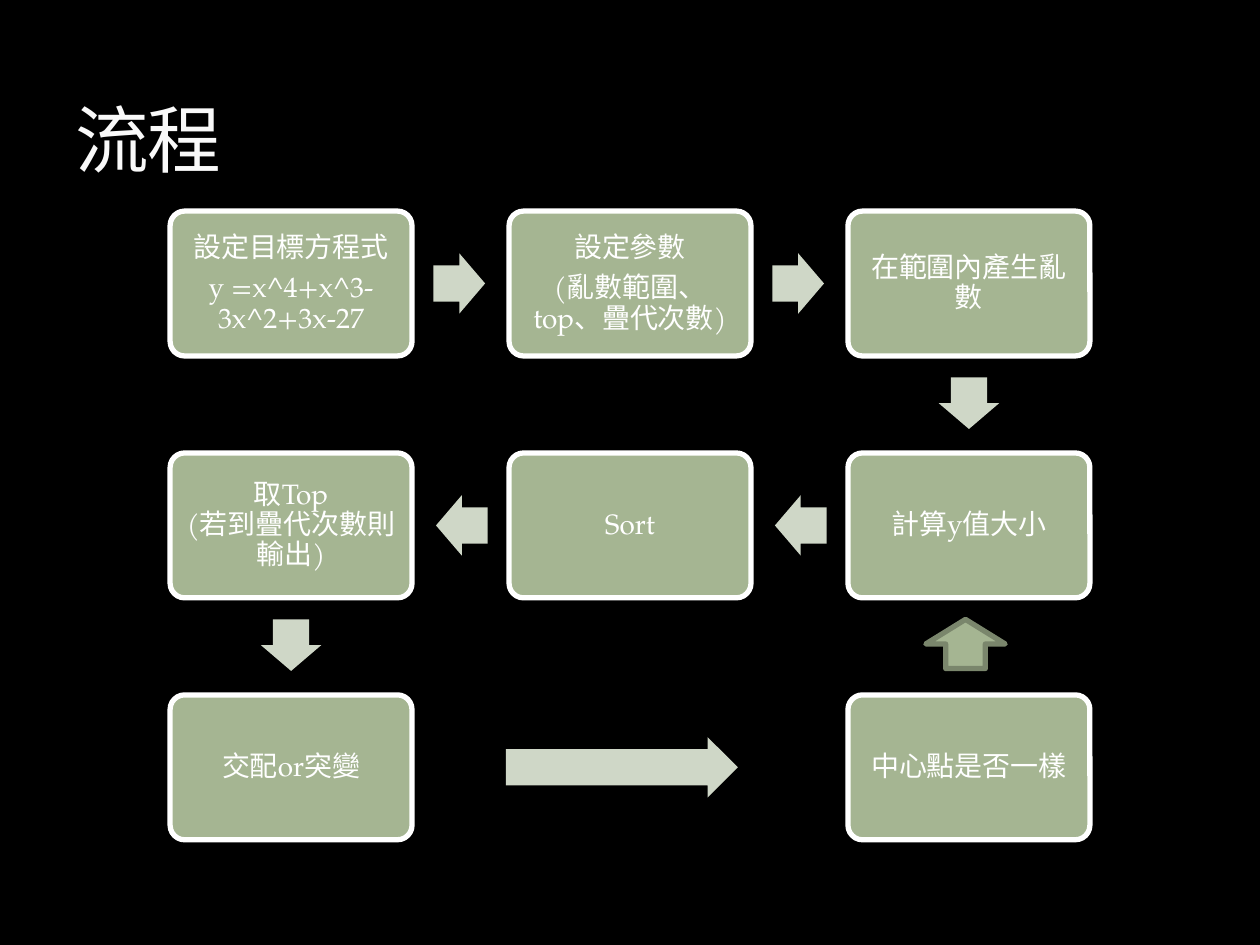
from math import cos, radians, sin

from pptx import Presentation
from pptx.dml.color import RGBColor
from pptx.enum.shapes import MSO_SHAPE
from pptx.enum.text import MSO_ANCHOR, MSO_AUTO_SIZE, PP_ALIGN
from pptx.oxml.ns import qn
from pptx.util import Inches, Pt

ROUNDED = MSO_SHAPE.ROUNDED_RECTANGLE
RIGHT_ARROW = MSO_SHAPE.RIGHT_ARROW
UP_ARROW = MSO_SHAPE.UP_ARROW
MIDDLE, BOTTOM = MSO_ANCHOR.MIDDLE, MSO_ANCHOR.BOTTOM
LEFT, CENTER = PP_ALIGN.LEFT, PP_ALIGN.CENTER
NO_FIT = MSO_AUTO_SIZE.NONE
TITLE_ONLY = 5


def rgb(value):
    return RGBColor.from_string(value)


def write(frame, lines, size=16, color="FFFFFF", font="TeX Gyre Pagella",
          align=CENTER, anchor=MIDDLE, spacing=0.9, after=0, inset=None):
    frame.word_wrap = True
    frame.auto_size = NO_FIT
    frame.vertical_anchor = anchor
    if inset is not None:
        frame.margin_left = frame.margin_right = Inches(inset)
        frame.margin_top = frame.margin_bottom = Inches(inset)
    for index, line in enumerate(lines):
        paragraph = frame.add_paragraph() if index else frame.paragraphs[0]
        paragraph.text = line
        paragraph.alignment = align
        paragraph.line_spacing = spacing
        paragraph.space_after = Pt(after)
        for run in paragraph.runs:
            run.font.name = font
            run.font.size = Pt(size)
            run.font.color.rgb = rgb(color)


class FlowSlide:
    green, pale, edge, white = "A5B592", "CFD7C7", "7A866C", "FFFFFF"
    first_x, first_y = 2.31, 2.25
    column_step, row_step = 2.69, 1.92
    step_width, step_height = 1.92, 1.15
    arrow_length, arrow_width, back_shift = 0.41, 0.48, 0.01

    def __init__(self, slide):
        self.slide = slide
        slide.background.fill.solid()
        slide.background.fill.fore_color.rgb = rgb("000000")

    def title(self, text):
        heading = self.slide.shapes.title
        heading.left, heading.top = Inches(0.5), Inches(0.17)
        heading.width, heading.height = Inches(9), Inches(1.33)
        write(heading.text_frame, [text], size=42, color="F9F9F9",
              align=LEFT, anchor=BOTTOM, spacing=1.0)
        for properties in heading.element.iter(qn("a:rPr")):
            properties.set("spc", "-100")

    def block(self, kind, column, row, width, height, fill, line=None,
              shift_x=0, shift_y=0):
        x = self.first_x + column * self.column_step + shift_x
        y = self.first_y + row * self.row_step + shift_y
        shape = self.slide.shapes.add_shape(
            kind, Inches(x - width / 2), Inches(y - height / 2),
            Inches(width), Inches(height))
        shape.shadow.inherit = False
        shape.fill.solid()
        shape.fill.fore_color.rgb = rgb(fill)
        if line:
            shape.line.color.rgb = rgb(line)
            shape.line.width = Pt(3)
        else:
            shape.line.fill.background()
        return shape

    def step(self, column, row, *lines):
        box = self.block(ROUNDED, column, row, self.step_width,
                         self.step_height, self.green, self.white)
        box.adjustments[0] = 0.1
        write(box.text_frame, lines, after=6, inset=0.1)

    def arrow(self, column, row, angle=0, length=arrow_length):
        turn = radians(angle)
        arrow = self.block(RIGHT_ARROW, column, row, length,
                           self.arrow_width, self.pale,
                           shift_x=-self.back_shift * cos(turn),
                           shift_y=-self.back_shift * sin(turn))
        arrow.adjustments[0], arrow.adjustments[1] = 0.6, 0.5
        arrow.rotation = angle

    def return_arrow(self, column, row):
        self.block(UP_ARROW, column, row, 0.63, 0.39, self.green, self.edge)


STEPS = [
    (0, 0, "設定目標方程式", "y =x^4+x^3-3x^2+3x-27"),
    (1, 0, "設定參數", "(亂數範圍、top、疊代次數)"),
    (2, 0, "在範圍內產生亂數"),
    (2, 1, "計算y值大小"),
    (1, 1, "Sort"),
    (0, 1, "取Top\n(若到疊代次數則輸出)"),
    (0, 2, "交配or突變"),
    (2, 2, "中心點是否一樣"),
]
ARROWS = [
    (0.5, 0, 0), (1.5, 0, 0), (2, 0.5, 90),
    (1.5, 1, 180), (0.5, 1, 180), (0, 1.5, 90),
    (0.98, 2, 0, 1.84),
]


def main():
    deck = Presentation()
    deck.slide_width, deck.slide_height = Inches(10), Inches(7.5)
    flow = FlowSlide(deck.slides.add_slide(deck.slide_layouts[TITLE_ONLY]))
    flow.title("流程")
    for step in STEPS:
        flow.step(*step)
    for arrow in ARROWS:
        flow.arrow(*arrow)
    flow.return_arrow(1.99, 1.49)
    deck.save("out.pptx")


if __name__ == "__main__":
    main()
